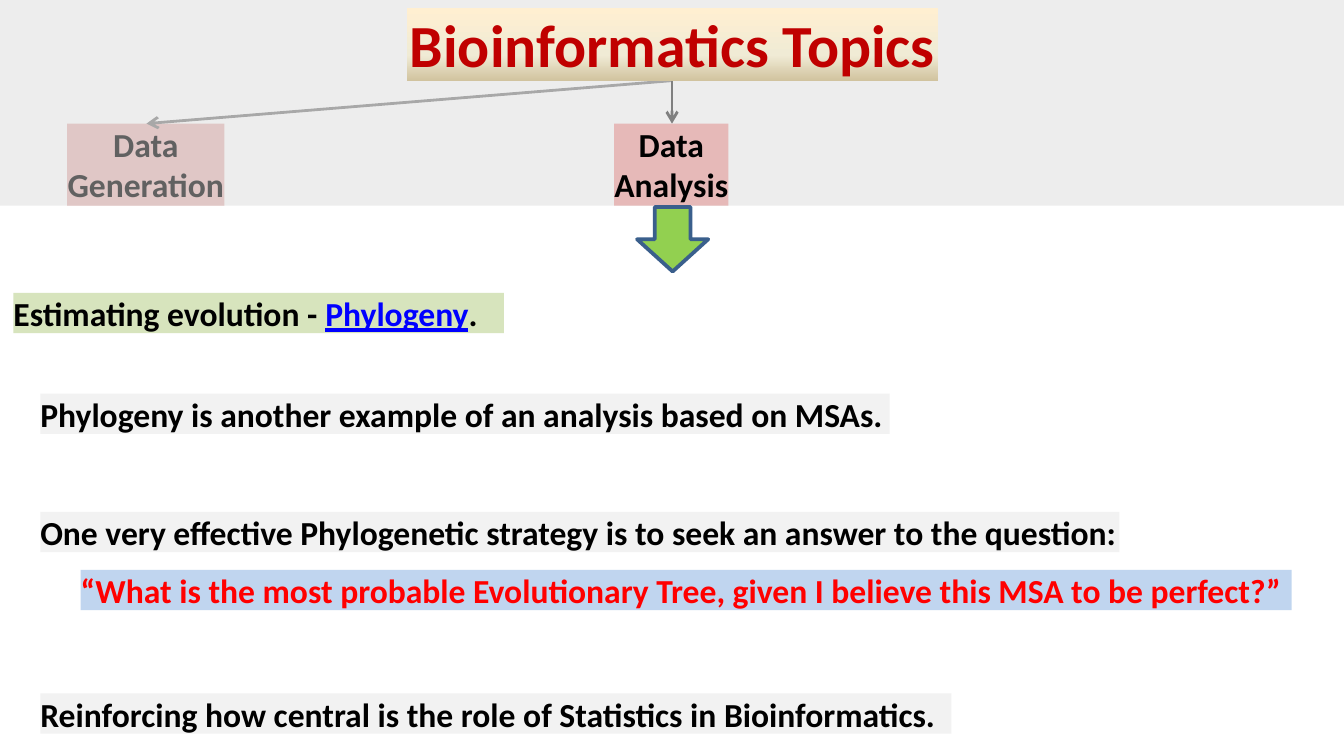
from lxml.etree import SubElement
from pptx import Presentation
from pptx.dml.color import RGBColor
from pptx.enum.shapes import MSO_CONNECTOR, MSO_SHAPE
from pptx.enum.text import MSO_ANCHOR, PP_ALIGN
from pptx.oxml.ns import qn
from pptx.util import Inches, Pt

THEME = {
    "font": "Calibri", "title_size": 32, "body_size": 18,
    "title": "C00000", "text": "000000", "link": "0000FF", "question": "FF0000",
    "branch": "E6B9B8", "topic": "D7E4BD", "statement": "F2F2F2",
    "highlight": "8EB4E3", "veil": "D9D9D9", "connector": "808080",
    "arrow": "92D050", "arrow_line": "3A5F8C",
    "title_gradient": [(0, "FFEFD1"), (65, "F0EBD5"), (100, "D1C39F")],
}


def add_label(bounds, fill, lines=(), color="text", size="body_size",
              align=PP_ALIGN.LEFT, opacity=None, preset=MSO_SHAPE.RECTANGLE):
    """Add a filled shape; each line is a list of (text, is_link) runs."""
    shape = slide.shapes.add_shape(preset, *[Inches(value) for value in bounds])
    shape.shadow.inherit = False
    shape.line.fill.background()
    shape.fill.solid()
    shape.fill.fore_color.rgb = RGBColor.from_string(THEME[fill])
    if opacity is not None:
        srgb = shape._element.spPr.find(qn("a:solidFill")).find(qn("a:srgbClr"))
        SubElement(srgb, qn("a:alpha"), val=str(opacity * 1000))
    frame = shape.text_frame
    frame_format = {"margin_left": 0, "margin_right": 0, "margin_top": 0,
                    "margin_bottom": 0, "vertical_anchor": MSO_ANCHOR.TOP,
                    "word_wrap": align == PP_ALIGN.LEFT}
    for name, value in frame_format.items():
        setattr(frame, name, value)
    for index, runs in enumerate(lines):
        paragraph = frame.add_paragraph() if index else frame.paragraphs[0]
        paragraph.alignment = align
        for text, is_link in runs:
            run = paragraph.add_run()
            run.text = text
            run_format = {"name": THEME["font"], "size": Pt(THEME[size]),
                          "bold": True, "underline": is_link}
            for name, value in run_format.items():
                setattr(run.font, name, value)
            run.font.color.rgb = RGBColor.from_string(
                THEME["link" if is_link else color])
    return shape


def add_arrow(start, end):
    """Add a thin line with an open arrowhead at its end."""
    connector = slide.shapes.add_connector(
        MSO_CONNECTOR.STRAIGHT, *[Inches(value) for value in (*start, *end)])
    connector.line.color.rgb = RGBColor.from_string(THEME["connector"])
    connector.line.width = Pt(1.5)
    properties = connector._element.spPr
    SubElement(properties.find(qn("a:ln")), qn("a:tailEnd"), type="arrow")
    SubElement(properties, qn("a:effectLst"))


# Widescreen 16:9 slide
presentation = Presentation()
presentation.slide_width = Inches(10)
presentation.slide_height = Inches(10 * 9 / 16)
slide = presentation.slides.add_slide(presentation.slide_layouts[6])

# Statements about phylogeny
statements = [
    (2.93, 6.32, "Phylogeny is another example of an analysis based on MSAs."),
    (3.81, 8.03, "One very effective Phylogenetic strategy is to seek an answer to the question:"),
    (5.16, 6.78, "Reinforcing how central is the role of Statistics in Bioinformatics."),
]
for top, width, text in statements:
    add_label((0.3, top, width, 0.3), "statement", [[(text, False)]])

# Key question
question = "“What is the most probable Evolutionary Tree, given I believe this MSA to be perfect?”"
add_label((0.6, 4.24, 9.01, 0.3), "highlight", [[(question, False)]],
          color="question", opacity=55)

# Topic heading
add_label((0.1, 2.18, 3.65, 0.3), "topic",
          [[("Estimating evolution - ", False), ("Phylogeny", True), (".", False)]])

# Two branches; the veil dims the first one only
branch_top, title_bottom = 0.92, 0.6
branches = [("Generation", 0.5, 1.17, 1.09), ("Analysis", 4.57, 0.85, 5)]
for name, left, width, arrow_end in branches:
    add_label((left, branch_top, width, 0.61), "branch",
              [[("Data", False)], [(name, False)]], align=PP_ALIGN.CENTER)
    add_arrow((5, title_bottom), (arrow_end, branch_top))
    if name == "Generation":
        add_label((0, 0, 10, 1.53), "veil", opacity=45)

# Block arrow down to the topic
block_arrow = add_label((4.74, 1.54, 0.53, 0.48), "arrow", preset=MSO_SHAPE.DOWN_ARROW)
block_arrow.line.color.rgb = RGBColor.from_string(THEME["arrow_line"])
block_arrow.line.width = Pt(2)

# Title with a three-stop vertical gradient
title = add_label((3.03, 0.06, 3.95, 0.54), "branch",
                  [[("Bioinformatics Topics", False)]], color="title",
                  size="title_size", align=PP_ALIGN.CENTER)
title.fill.gradient()
gradient = title._element.spPr.find(qn("a:gradFill"))
for child in list(gradient):
    gradient.remove(child)
stops = SubElement(gradient, qn("a:gsLst"))
for position, color in THEME["title_gradient"]:
    stop = SubElement(stops, qn("a:gs"), pos=str(position * 1000))
    SubElement(stop, qn("a:srgbClr"), val=color)
SubElement(gradient, qn("a:lin"), ang=str(90 * 60000), scaled="0")

presentation.save("out.pptx")
